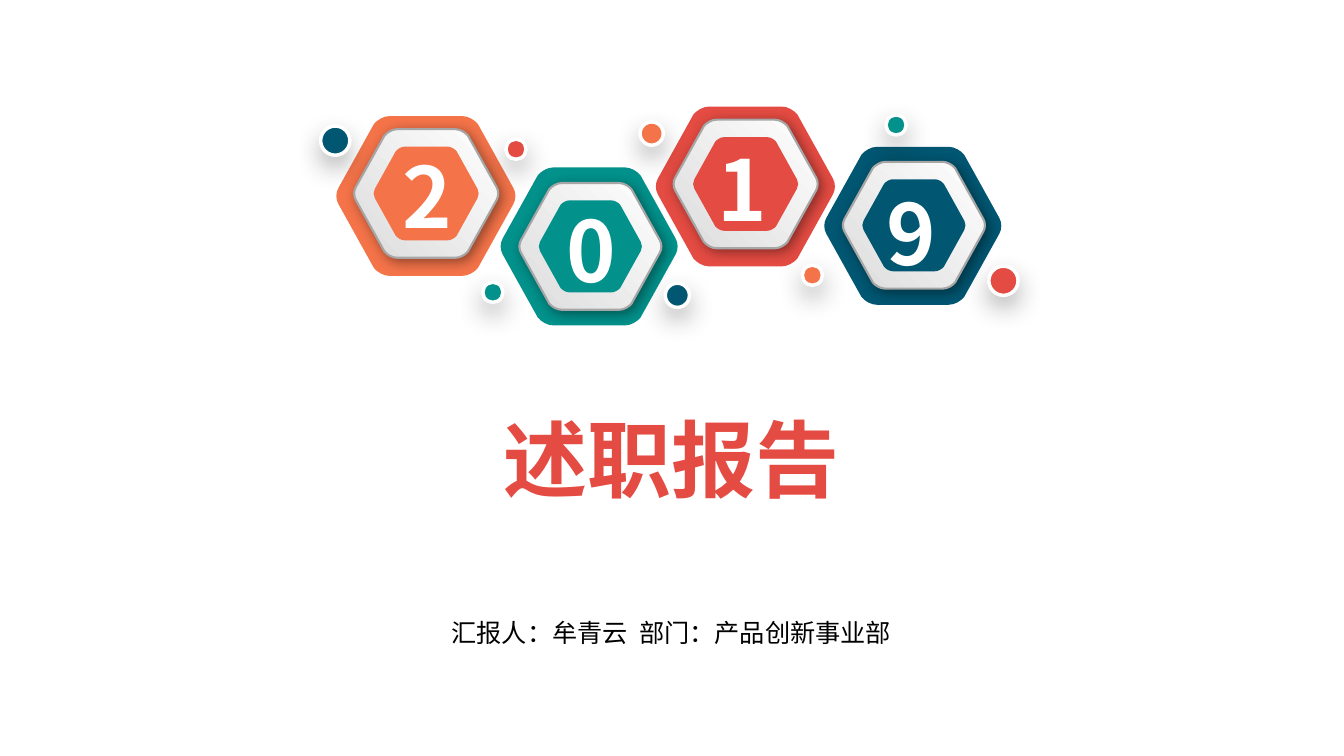
from lxml import etree
from pptx import Presentation
from pptx.dml.color import RGBColor
from pptx.enum.shapes import MSO_SHAPE
from pptx.enum.text import MSO_ANCHOR, PP_ALIGN
from pptx.oxml.ns import qn
from pptx.util import Pt

ELLIPSE = MSO_SHAPE.OVAL
MIDDLE = MSO_ANCHOR.MIDDLE
LEFT, CENTER = PP_ALIGN.LEFT, PP_ALIGN.CENTER

ORANGE = RGBColor(0xF4, 0x73, 0x49)
TEAL = RGBColor(0x02, 0x91, 0x8B)
RED = RGBColor(0xE4, 0x4B, 0x42)
NAVY = RGBColor(0x01, 0x56, 0x72)
WHITE = RGBColor(0xFF, 0xFF, 0xFF)
SILVER = RGBColor(0xDC, 0xDC, 0xDC)
GRAY = RGBColor(0xA6, 0xA6, 0xA6)
CHARCOAL = RGBColor(0x26, 0x26, 0x26)
BLACK = RGBColor(0x00, 0x00, 0x00)
FONT = "Noto Sans CJK SC"

prs = Presentation()
prs.slide_width, prs.slide_height = Pt(960), Pt(540)
s = prs.slides.add_slide(prs.slide_layouts[6])


def add_text(text, x, y, w, h, size=60, color=WHITE, bold=True, align=CENTER):
    """Add a text box; a space in the text is drawn at double width."""
    tf = s.shapes.add_textbox(Pt(x), Pt(y), Pt(w), Pt(h)).text_frame
    tf.word_wrap = True
    tf.vertical_anchor = MIDDLE
    p = tf.paragraphs[0]
    p.alignment = align
    for part in filter(None, text.partition(" ")):
        r = p.add_run()
        r.text = part
        r.font.name, r.font.size, r.font.bold = FONT, Pt(size), bold
        r.font.color.rgb = color
        etree.SubElement(r.font._element, qn("a:ea"), typeface=FONT)
        if part == " ":
            r.font._element.set("spc", "400")


def add_shadow(sp, color, opacity, blur, dist, angle):
    """Give the shape an outer shadow: opacity in percent, angle in degrees."""
    sp.shadow.inherit = False
    effects = sp._element.spPr.find(qn("a:effectLst"))
    shadow = etree.SubElement(
        effects, qn("a:outerShdw"), blurRad=str(Pt(blur)), dist=str(Pt(dist)),
        dir=str(angle * 60000), algn="ctr", rotWithShape="0")
    clr = etree.SubElement(shadow, qn("a:srgbClr"), val=str(color))
    etree.SubElement(clr, qn("a:alpha"), val=str(opacity * 1000))


# Rounded hexagon in a unit box centred on 0, 0: four curve points per corner
top_right = [(0.2, -0.5), (0.235, -0.5), (0.27, -0.475), (0.288, -0.45)]
right = [(0.485, -0.05), (0.5, -0.02), (0.5, 0.02), (0.485, 0.05)]
bottom_right = [(u, -v) for u, v in reversed(top_right)]
half = top_right + right + bottom_right
outline = half + [(-u, -v) for u, v in half]

# Badges: colour, width of outer, ring and core, centre of outer, centre of ring
LARGE, SMALL = (128.9, 103.7, 75.6), (127.4, 102.2, 74.2)
badges = [
    (ORANGE, LARGE, (304.2, 140), (304.4, 138.2)),
    (TEAL, SMALL, (420.8, 176), (421.7, 176)),
    (RED, LARGE, (532.4, 133.2), (532.6, 131.4)),
    (NAVY, SMALL, (652, 161.3), (652.8, 160.9)),
]
for color, widths, center, ring_center in badges:
    centers = (center, ring_center, ring_center)
    for layer, (w, (cx, cy)) in enumerate(zip(widths, centers)):
        points = [(Pt(cx + u * w), Pt(cy + v * w * 0.886)) for u, v in outline]
        builder = s.shapes.build_freeform(*points[0])
        builder.add_line_segments(points[1:], close=True)
        sp = builder.convert_to_shape()
        # Turn the three segments of each corner into one curve
        segments = list(sp._element.iter(qn("a:lnTo")))
        for i in range(0, len(outline), 4):
            curve = etree.Element(qn("a:cubicBezTo"))
            segments[i].addprevious(curve)
            for segment in segments[i:i + 3]:
                curve.append(segment[0])
                segment.getparent().remove(segment)
        sp.rotation = 180
        if layer == 1:
            sp.fill.gradient()
            sp.fill.gradient_angle = 45
            for stop, tone, position in zip(sp.fill.gradient_stops, (WHITE, SILVER), (0, 1)):
                stop.color.rgb, stop.position = tone, position
            sp.line.color.rgb, sp.line.width = GRAY, Pt(1.5)
            add_shadow(sp, BLACK, 40, 9, 3, 45)
        else:
            sp.fill.solid()
            sp.fill.fore_color.rgb = color
            sp.line.fill.background()
            sp.shadow.inherit = False

# Dots: left, top, diameter, colour
dots = [
    (706.3, 190.1, 20.9, RED), (573.1, 189.4, 14.4, ORANGE),
    (457.2, 87.1, 16.6, ORANGE), (632.9, 82.1, 14.4, TEAL),
    (475.2, 202.3, 17.3, NAVY), (361.4, 99.4, 14.4, RED),
    (344.9, 201.6, 14.4, TEAL), (229, 90, 20.9, NAVY),
]
for x, y, d, color in dots:
    sp = s.shapes.add_shape(ELLIPSE, Pt(x), Pt(y), Pt(d), Pt(d))
    sp.fill.solid()
    sp.fill.fore_color.rgb = color
    sp.line.color.rgb, sp.line.width = WHITE, Pt(2.5)
    add_shadow(sp, CHARCOAL, 33, 18, 8, 90)

digits = [("2", 280.1, 99, 50.4), ("0", 397.4, 138, 42.5),
          ("1", 505.4, 94.3, 42.5), ("9", 626.4, 126, 42.5)]
for digit, x, y, w in digits:
    add_text(digit, x, y, w, 79.9, align=LEFT)

add_text("汇报人：牟青云 部门：产品创新事业部", 220.3, 442.1, 518.4, 19.4,
         size=18, color=BLACK, bold=False)
add_text("述职报告", 121.3, 301.7, 717.1, 50.4, color=RED)

prs.save("out.pptx")
